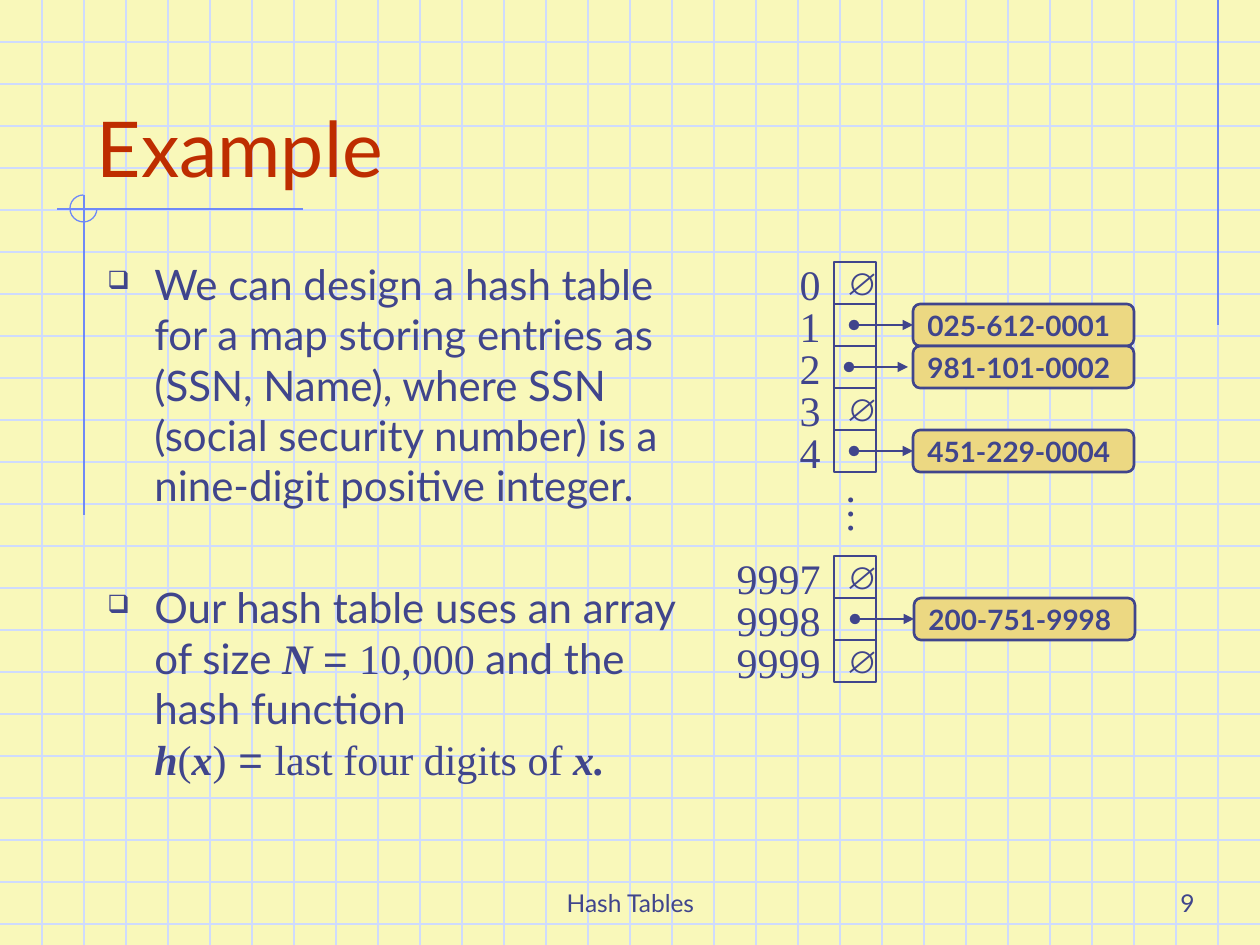
"""Build the hash table example slide."""
from dataclasses import dataclass
from typing import Optional

from pptx import Presentation
from pptx.dml.color import RGBColor
from pptx.enum.shapes import MSO_CONNECTOR, MSO_SHAPE
from pptx.enum.text import MSO_ANCHOR, MSO_AUTO_SIZE, PP_ALIGN
from pptx.oxml.ns import qn
from pptx.util import Emu, Pt
from lxml import etree

STRAIGHT = MSO_CONNECTOR.STRAIGHT
RECTANGLE, ROUNDED, ARC = MSO_SHAPE.RECTANGLE, MSO_SHAPE.ROUNDED_RECTANGLE, MSO_SHAPE.ARC
TOP, MIDDLE, BOTTOM = MSO_ANCHOR.TOP, MSO_ANCHOR.MIDDLE, MSO_ANCHOR.BOTTOM
LEFT, CENTER, RIGHT = PP_ALIGN.LEFT, PP_ALIGN.CENTER, PP_ALIGN.RIGHT
NO_AUTOSIZE = MSO_AUTO_SIZE.NONE

PIXELS_PER_INCH = 126
WIDTH, HEIGHT = 1260, 945
GRID = 42
TABLE_LEFT, TABLE_TOP = 834, 262
ENTRY_LEFT, ENTRY_WIDTH = 913, 221


@dataclass(frozen=True)
class Theme:
    background: str = "F9F8BA"
    grid: str = "CFDBFD"
    guide: str = "6F89F7"
    ink: str = "40458C"
    title: str = "BE2D00"
    entry: str = "ECD882"
    sans: str = "Lato"
    serif: str = "Times New Roman"
    symbol: str = "Arial"
    title_size: int = 44
    body_size: int = 24
    empty_size: int = 18
    entry_size: int = 16
    footer_size: int = 14
    thin: float = 0.75
    thick: float = 1.5


@dataclass(frozen=True)
class Bucket:
    row: int
    index: str
    key: Optional[str] = None
    arrow_shift: int = 0
    entry_shift: int = 0


@dataclass(frozen=True)
class Span:
    text: str
    font: str
    strong: bool = False
    break_after: bool = False


THEME = Theme()

BUCKETS = (
    Bucket(0, "0"),
    Bucket(1, "1", "025-612-0001"),
    Bucket(2, "2", "981-101-0002", arrow_shift=-5),
    Bucket(3, "3"),
    Bucket(4, "4", "451-229-0004"),
    Bucket(7, "9997"),
    Bucket(8, "9998", "200-751-9998", arrow_shift=1, entry_shift=1),
    Bucket(9, "9999"),
)

BODY = (
    (Span("We can design a hash table for a map storing entries as (SSN, Name), where SSN "
          "(social security number) is a nine-digit positive integer.", THEME.sans),),
    (
        Span("Our hash table uses an array of size ", THEME.sans),
        Span("N ", THEME.serif, strong=True),
        Span("= ", THEME.symbol),
        Span("10,000", THEME.serif),
        Span(" and the hash function", THEME.sans, break_after=True),
        Span("h", THEME.serif, strong=True),
        Span("(", THEME.serif),
        Span("x", THEME.serif, strong=True),
        Span(")", THEME.serif),
        Span(" = ", THEME.symbol),
        Span("last four digits of ", THEME.serif),
        Span("x.", THEME.serif, strong=True),
    ),
)


def px(value: int) -> Emu:
    """Turn slide pixels into EMU."""
    return Emu(round(value * 914400 / PIXELS_PER_INCH))


def rgb(color: str) -> RGBColor:
    """Turn a hex string into a colour."""
    return RGBColor.from_string(color)


def write(paragraph, text: str, *, size: int = THEME.body_size, font: str = THEME.sans,
          color: str = THEME.ink, bold: bool = False, italic: bool = False) -> None:
    """Append a formatted run to a paragraph."""
    run = paragraph.add_run()
    run.text = text
    run.font.size, run.font.name = Pt(size), font
    run.font.bold, run.font.italic = bold, italic
    run.font.color.rgb = rgb(color)


def first_paragraph(shape, *, align=LEFT, anchor=TOP, wrap: bool = True):
    """Set up the text frame of a shape and return its first paragraph."""
    frame = shape.text_frame
    frame.auto_size = NO_AUTOSIZE
    frame.word_wrap, frame.vertical_anchor = wrap, anchor
    paragraph = frame.paragraphs[0]
    paragraph.alignment = align
    return paragraph


def add_box(slide, left: int, top: int, width: int, height: int):
    """Add a text box placed in pixels."""
    return slide.shapes.add_textbox(px(left), px(top), px(width), px(height))


def add_outline(slide, kind, left: int, top: int, width: int, height: int, *,
                fill: Optional[str] = None, color: str = THEME.ink, weight: float = THEME.thick):
    """Add an outlined preset shape with an optional fill."""
    shape = slide.shapes.add_shape(kind, px(left), px(top), px(width), px(height))
    shape.shadow.inherit = False
    if fill:
        shape.fill.solid()
        shape.fill.fore_color.rgb = rgb(fill)
    else:
        shape.fill.background()
    shape.line.color.rgb, shape.line.width = rgb(color), Pt(weight)
    return shape


def add_line(slide, x1: int, y1: int, x2: int, y2: int, *, color: str,
             weight: float = THEME.thin, arrow: bool = False) -> None:
    """Add a straight line, with a dot and an arrowhead on request."""
    line = slide.shapes.add_connector(STRAIGHT, px(x1), px(y1), px(x2), px(y2))
    line.line.color.rgb, line.line.width = rgb(color), Pt(weight)
    properties = line.element.spPr
    etree.SubElement(properties, qn("a:effectLst"))
    if arrow:
        outline = properties.find(qn("a:ln"))
        etree.SubElement(outline, qn("a:headEnd"), type="oval")
        etree.SubElement(outline, qn("a:tailEnd"), type="triangle")


def add_bullet(paragraph) -> None:
    """Give a paragraph a hanging box bullet."""
    properties = paragraph._p.get_or_add_pPr()
    properties.set("marL", str(px(47)))
    properties.set("indent", str(-px(47)))
    color = etree.SubElement(properties, qn("a:buClr"))
    etree.SubElement(color, qn("a:srgbClr"), val=THEME.ink)
    etree.SubElement(properties, qn("a:buSzPct"), val="60000")
    etree.SubElement(properties, qn("a:buChar"), char="❑")


def draw_backdrop(slide) -> None:
    """Draw the squared paper and the guide lines."""
    slide.background.fill.solid()
    slide.background.fill.fore_color.rgb = rgb(THEME.background)
    for y in range(GRID, HEIGHT, GRID):
        add_line(slide, 0, y, WIDTH, y, color=THEME.grid)
    for x in range(GRID, WIDTH, GRID):
        add_line(slide, x, 0, x, HEIGHT, color=THEME.grid)
    for ends in ((1218, 0, 1218, 325), (303, 209, 57, 209), (84, 195, 84, 515)):
        add_line(slide, *ends, color=THEME.guide)
    arc = add_outline(slide, ARC, 70, 195, 27, 27, color=THEME.guide, weight=THEME.thin)
    arc.adjustments[0], arc.adjustments[1] = 0, 162


def draw_title(slide) -> None:
    """Place the title in front of the squared paper."""
    title = slide.shapes.title
    title.left, title.top, title.width, title.height = px(84), px(42), px(1071), px(157)
    write(first_paragraph(title, anchor=BOTTOM), "Example", size=THEME.title_size, color=THEME.title)
    slide.shapes.element.append(title.element)


def draw_body(slide) -> None:
    """Write the two bulleted paragraphs."""
    box = add_box(slide, 95, 252, 598, 609)
    paragraph = first_paragraph(box)
    for number, spans in enumerate(BODY):
        if number:
            paragraph = box.text_frame.add_paragraph()
            paragraph.space_before = Pt(41)
        add_bullet(paragraph)
        for span in spans:
            write(paragraph, span.text, font=span.font, bold=span.strong, italic=span.strong)
            if span.break_after:
                paragraph.add_line_break()


def draw_bucket(slide, bucket: Bucket) -> None:
    """Draw one array cell with its index and its entry."""
    top = TABLE_TOP + bucket.row * GRID
    cell = add_outline(slide, RECTANGLE, TABLE_LEFT, top, GRID, GRID)
    label_width = 24 + 21 * len(bucket.index)
    label = add_box(slide, TABLE_LEFT - 1 - label_width, top - 10, label_width, 63)
    write(first_paragraph(label, align=RIGHT, wrap=False), bucket.index, font=THEME.serif)
    if bucket.key is None:
        write(first_paragraph(cell, anchor=MIDDLE, wrap=False), "∅",
              size=THEME.empty_size, font=THEME.symbol)
        return
    entry = add_outline(slide, ROUNDED, ENTRY_LEFT + bucket.entry_shift, top,
                        ENTRY_WIDTH, GRID, fill=THEME.entry)
    write(first_paragraph(entry, anchor=MIDDLE, wrap=False), bucket.key,
          size=THEME.entry_size, bold=True)
    middle, shift = top + GRID // 2, bucket.arrow_shift
    add_line(slide, TABLE_LEFT + 20 + shift, middle, ENTRY_LEFT + shift, middle,
             color=THEME.ink, weight=THEME.thick, arrow=True)


def draw_footer(slide, text: str, left: int, width: int, align) -> None:
    """Write one footer text."""
    box = add_box(slide, left, 861, width, 63)
    write(first_paragraph(box, align=align, anchor=BOTTOM), text, size=THEME.footer_size)


def main() -> None:
    """Build and save the presentation."""
    presentation = Presentation()
    presentation.slide_width, presentation.slide_height = px(WIDTH), px(HEIGHT)
    slide = presentation.slides.add_slide(presentation.slide_layouts[5])
    draw_backdrop(slide)
    draw_footer(slide, "Hash Tables", 431, 399, CENTER)
    draw_footer(slide, "9", 945, 262, RIGHT)
    draw_title(slide)
    draw_body(slide)
    for bucket in BUCKETS:
        draw_bucket(slide, bucket)
    dots = add_box(slide, 832, 483, 67, 63)
    dots.rotation = 90
    write(first_paragraph(dots, wrap=False), "…", font=THEME.serif)
    presentation.save("out.pptx")


if __name__ == "__main__":
    main()
